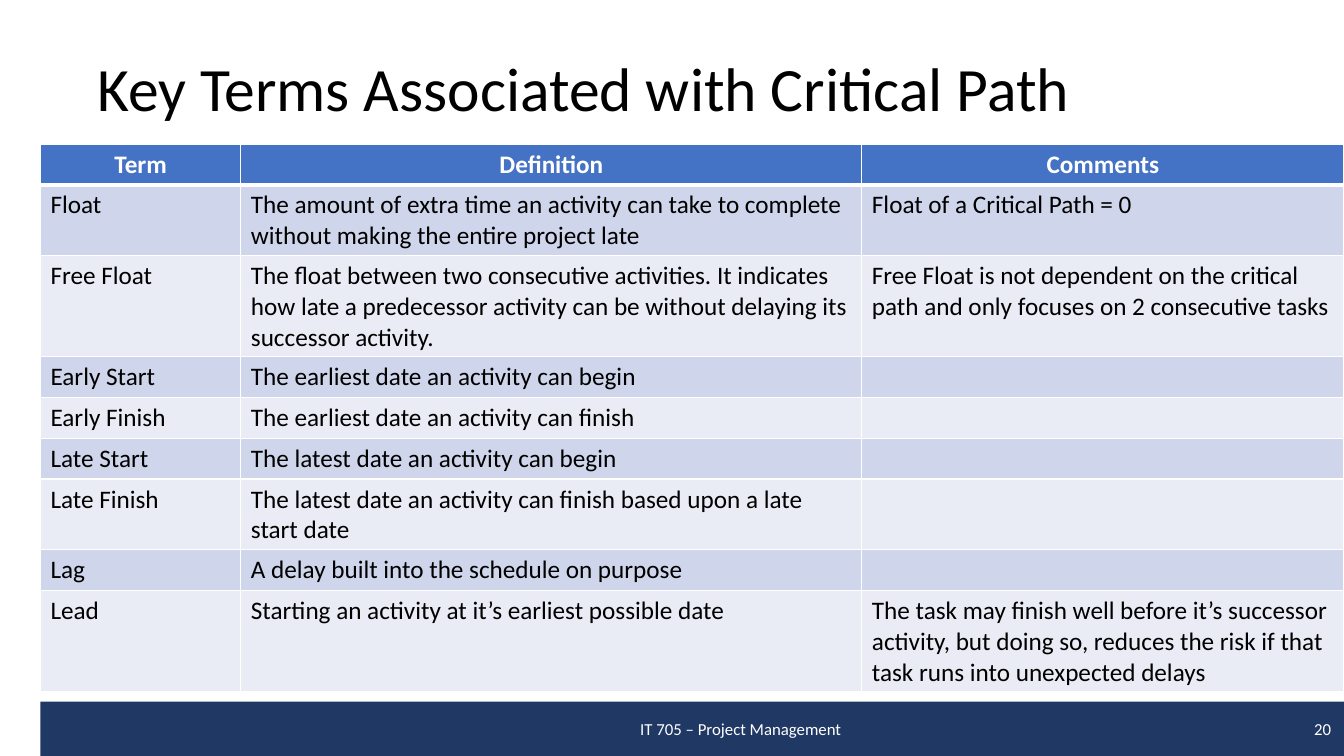
from dataclasses import dataclass

from lxml import etree
from pptx import Presentation
from pptx import util as u
from pptx.dml.color import RGBColor
from pptx.enum import shapes, text
from pptx.oxml import ns


@dataclass(frozen=True)
class Theme:
    font: str = "Calibri"
    white: str = "FFFFFF"
    black: str = "000000"
    header: str = "4472C4"
    bands: tuple = ("CFD5EA", "E9EBF5")
    footer: str = "203864"
    title_size: int = 44
    table_size: int = 18
    footer_size: int = 12
    rule: int = 1
    header_rule: int = 3


THEME = Theme()
LEFT, WIDTH = 1.02, 32.85
COLUMNS = (5.05, 15.65, 12.15)
ROW_HEIGHT = 1.03
HEADINGS = ("Term", "Definition", "Comments")
TERMS = (
    ("Float",
     "The amount of extra time an activity can take to complete without making the entire project late",
     "Float of a Critical Path = 0"),
    ("Free Float",
     "The float between two consecutive activities. It indicates how late a predecessor activity "
     "can be without delaying its successor activity.",
     "Free Float is not dependent on the critical path and only focuses on 2 consecutive tasks"),
    ("Early Start", "The earliest date an activity can begin", ""),
    ("Early Finish", "The earliest date an activity can finish", ""),
    ("Late Start", "The latest date an activity can begin", ""),
    ("Late Finish", "The latest date an activity can finish based upon a late start date", ""),
    ("Lag", "A delay built into the schedule on purpose", ""),
    ("Lead", "Starting an activity at it’s earliest possible date",
     "The task may finish well before it’s successor activity, but doing so, reduces the risk "
     "if that task runs into unexpected delays"),
)


def set_font(p, size, color, bold=False):
    p.font.name = THEME.font
    p.font.size = u.Pt(size)
    p.font.bold = bold
    p.font.color.rgb = RGBColor.from_string(color)


def set_fill(obj, color):
    obj.fill.solid()
    obj.fill.fore_color.rgb = RGBColor.from_string(color)


def set_borders(cell, top, bottom):
    tc_pr = cell._tc.get_or_add_tcPr()
    widths = {"lnL": THEME.rule, "lnR": THEME.rule, "lnT": top, "lnB": bottom}
    for i, (tag, width) in enumerate(widths.items()):
        ln = etree.Element(ns.qn(f"a:{tag}"), w=str(u.Pt(width)))
        fill = etree.SubElement(ln, ns.qn("a:solidFill"))
        etree.SubElement(fill, ns.qn("a:srgbClr"), val=THEME.white)
        tc_pr.insert(i, ln)


def add_title(s, title):
    sp = s.shapes.add_textbox(u.Cm(2.2), u.Cm(0.46), u.Cm(29.2), u.Cm(3.68))
    tf = sp.text_frame
    tf.word_wrap = True
    tf.vertical_anchor = text.MSO_ANCHOR.MIDDLE
    p = tf.paragraphs[0]
    p.text = title
    p.line_spacing = 0.9
    set_font(p, THEME.title_size, THEME.black)


def add_terms(s):
    rows = (HEADINGS, *TERMS)
    table = s.shapes.add_table(len(rows), len(COLUMNS), u.Cm(LEFT), u.Cm(3.63),
                               u.Cm(WIDTH), u.Cm(ROW_HEIGHT * len(rows))).table
    table.horz_banding = False
    for column, width in zip(table.columns, COLUMNS):
        column.width = u.Cm(width)
    for i, row in enumerate(rows):
        is_header = i == 0
        top = THEME.header_rule if i == 1 else THEME.rule
        bottom = THEME.header_rule if is_header else THEME.rule
        table.rows[i].height = u.Cm(ROW_HEIGHT)
        for cell, value in zip(table.rows[i].cells, row):
            set_fill(cell, THEME.header if is_header else THEME.bands[(i - 1) % 2])
            set_borders(cell, top, bottom)
            p = cell.text_frame.paragraphs[0]
            p.text = value
            p.alignment = text.PP_ALIGN.CENTER if is_header else text.PP_ALIGN.LEFT
            set_font(p, THEME.table_size, THEME.white if is_header else THEME.black, is_header)


def add_footer(s, course, number):
    sp = s.shapes.add_shape(shapes.MSO_SHAPE.RECTANGLE, u.Cm(LEFT), u.Cm(17.68),
                            u.Cm(WIDTH), u.Cm(1.37))
    sp.shadow.inherit = False
    set_fill(sp, THEME.footer)
    sp.line.fill.background()
    tf = sp.text_frame
    tf.word_wrap = True
    tf.vertical_anchor = text.MSO_ANCHOR.MIDDLE
    p = tf.paragraphs[0]
    p.text = f"\t{course}\t{number}"
    p.alignment = text.PP_ALIGN.LEFT
    tabs = etree.SubElement(p._p.get_or_add_pPr(), ns.qn("a:tabLst"))
    for position, align in ((17.4, "ctr"), (32.28, "r")):
        etree.SubElement(tabs, ns.qn("a:tab"), pos=str(u.Cm(position)), algn=align)
    set_font(p, THEME.footer_size, THEME.white)


def main():
    prs = Presentation()
    prs.slide_width, prs.slide_height = u.Cm(33.87), u.Cm(19.05)
    s = prs.slides.add_slide(prs.slide_layouts[6])
    add_title(s, "Key Terms Associated with Critical Path")
    add_terms(s)
    add_footer(s, "IT 705 – Project Management", 20)
    prs.save("out.pptx")


if __name__ == "__main__":
    main()
